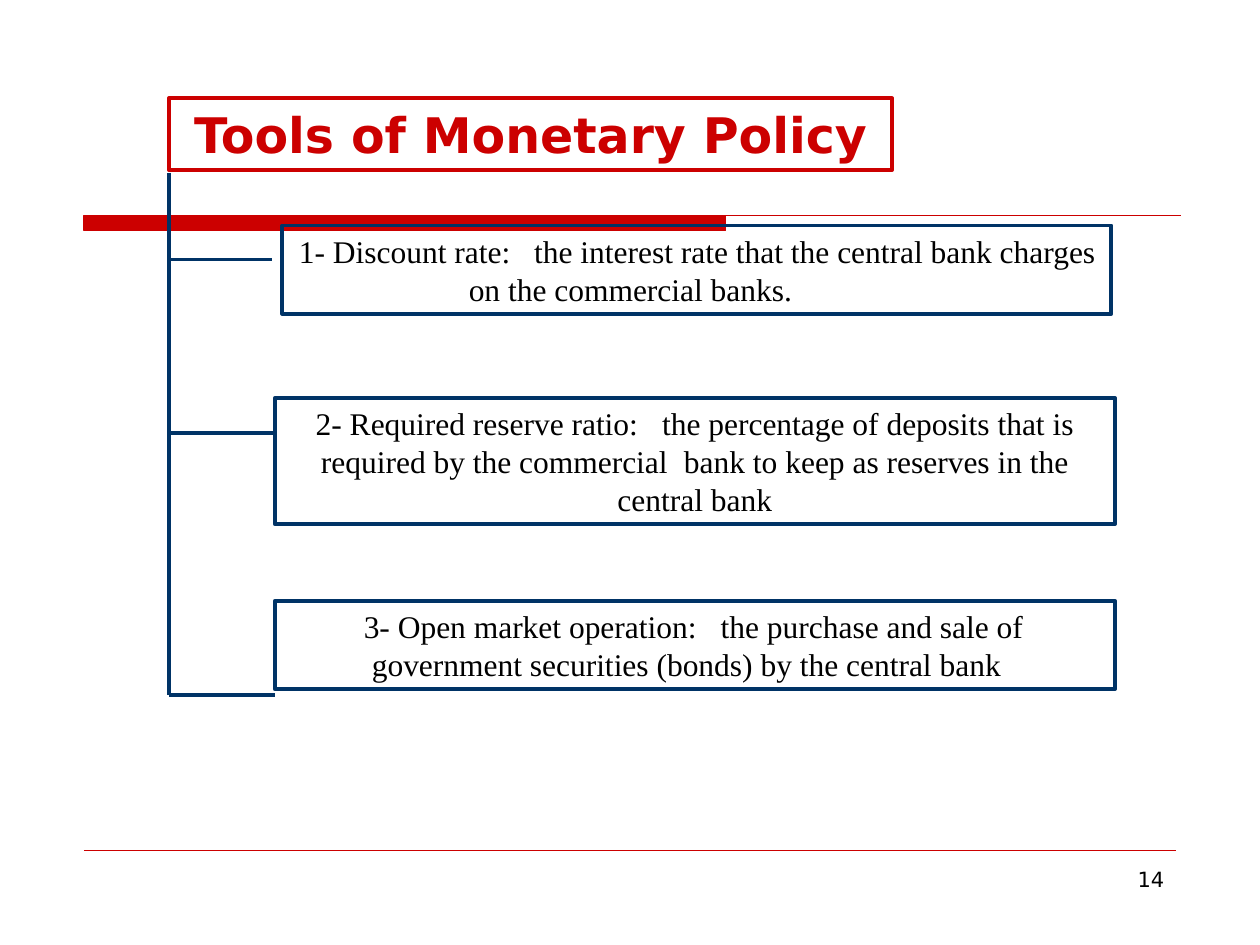
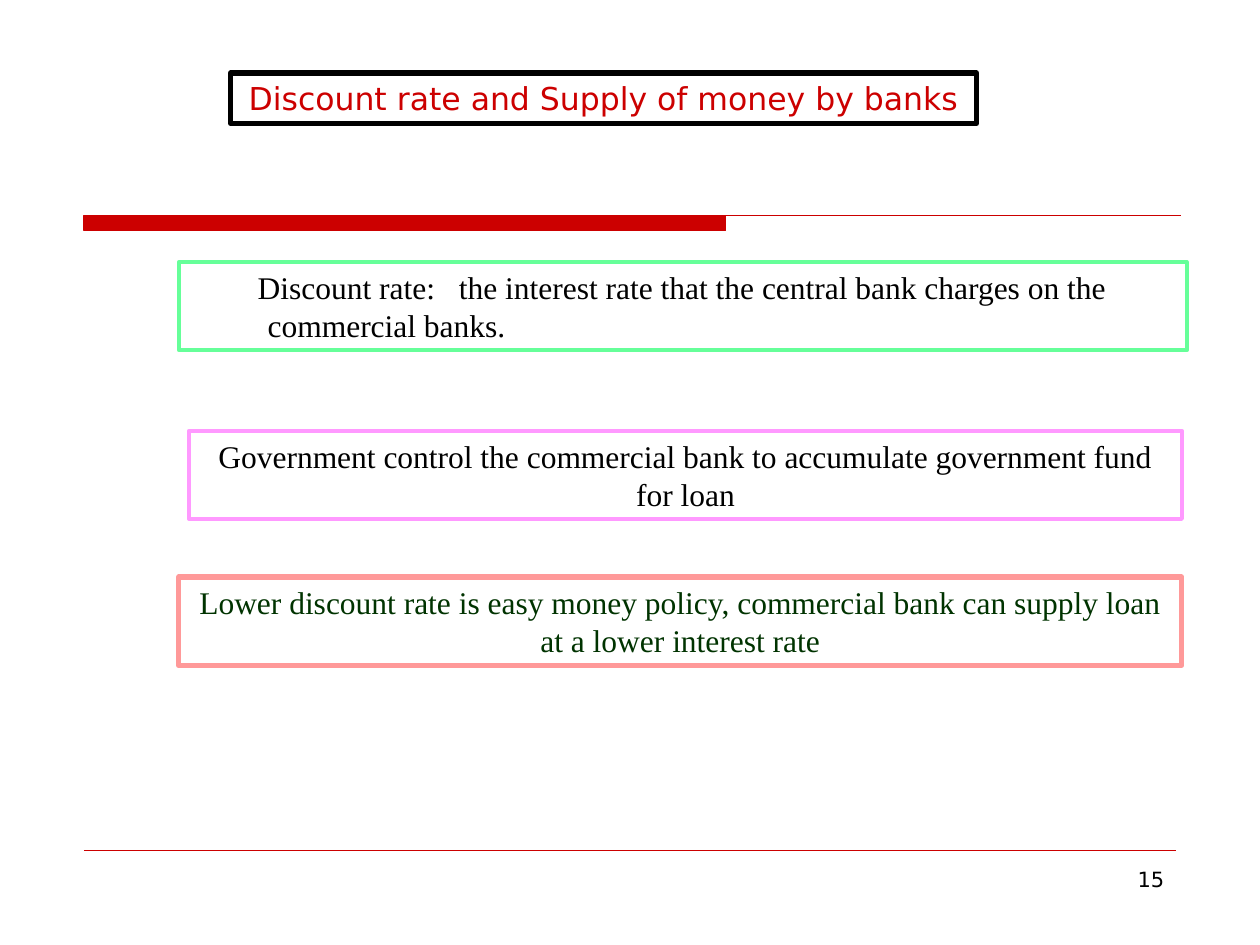
from lxml.etree import SubElement
from pptx import Presentation
from pptx.dml.color import RGBColor
from pptx.enum.shapes import MSO_CONNECTOR, MSO_SHAPE
from pptx.enum.text import MSO_ANCHOR, PP_ALIGN
from pptx.oxml.ns import qn
from pptx.util import Pt

RED = RGBColor(0xCC, 0x00, 0x00)
NAVY = RGBColor(0x00, 0x33, 0x66)
BLACK = RGBColor(0x00, 0x00, 0x00)
MINT = RGBColor(0x66, 0xFF, 0x99)
PINK = RGBColor(0xFF, 0x99, 0xFF)
SALMON = RGBColor(0xFF, 0x99, 0x99)
DARK_GREEN = RGBColor(0x00, 0x33, 0x00)

SANS = "DejaVu Sans"
SERIF = "Times New Roman"
BODY = {"name": SERIF, "size": Pt(18), "bold": False}
TITLE = {"name": SANS, "size": Pt(18), "bold": False}
BIG_TITLE = {"name": SANS, "size": Pt(28), "bold": True}
NUMBER = {"name": SANS, "size": Pt(12), "bold": False}

MARGIN = 48
BAND_TOP = 123.1
TERM_GAP = 9
WORD_GAP = 4.5
TRUNK = 96.5


def add_span(para, text, style, color):
    """Append a formatted run to a paragraph."""
    span = para.add_run()
    span.text = text
    for key, value in style.items():
        setattr(span.font, key, value)
    span.font.color.rgb = color
    return span


def add_phrases(para, phrases, style, color):
    """Write (text, gap) phrases, widening the space after each by its gap."""
    for text, gap in phrases:
        add_span(para, text, style, color)
        if gap:
            space = add_span(para, " ", style, color)
            space.font._element.set("spc", str(round(gap * 100)))


def add_frame(page, place, phrases, line, width=2.25, style=BODY, color=BLACK, starts=None):
    """Add an outlined text box, centred or with given starts of its two lines."""
    box = page.shapes.add_shape(MSO_SHAPE.RECTANGLE, *map(Pt, place))
    box.shadow.inherit = False
    box.fill.background()
    box.line.color.rgb = line
    box.line.width = Pt(width)
    box.text_frame.word_wrap = True
    box.text_frame.vertical_anchor = MSO_ANCHOR.TOP
    para = box.text_frame.paragraphs[0]
    para.alignment = PP_ALIGN.LEFT if starts else PP_ALIGN.CENTER
    if starts:
        first, second = starts
        properties = para._p.get_or_add_pPr()
        properties.set("marL", str(Pt(second)))
        properties.set("indent", str(Pt(first - second)))
    add_phrases(para, phrases, style, color)


def add_line(page, start, end, color=NAVY, width=2.25):
    """Add a straight line without a shadow."""
    line = page.shapes.add_connector(MSO_CONNECTOR.STRAIGHT, *map(Pt, start + end))
    line.line.color.rgb = color
    line.line.width = Pt(width)
    SubElement(line._element.spPr, qn("a:effectLst"))


def add_band(page):
    """Add the red bar whose top edge runs on as a thin line."""
    bar_right, bar_bottom, line_right = 414.7, 131.8, 674.6
    builder = page.shapes.build_freeform(Pt(MARGIN), Pt(BAND_TOP))
    corners = [(bar_right, BAND_TOP), (bar_right, bar_bottom), (MARGIN, bar_bottom)]
    builder.add_line_segments([(Pt(x), Pt(y)) for x, y in corners])
    builder.move_to(Pt(MARGIN), Pt(BAND_TOP))
    builder.add_line_segments([(Pt(line_right), Pt(BAND_TOP))], close=False)
    band = builder.convert_to_shape()
    band.shadow.inherit = False
    band.fill.solid()
    band.fill.fore_color.rgb = RED
    band.line.color.rgb = RED
    band.line.width = Pt(0.75)


def add_page(deck, number):
    """Add a blank page with band, footer line and page number."""
    page = deck.slides.add_slide(deck.slide_layouts[6])
    add_band(page)
    add_line(page, (MARGIN, 486), (672, 486), RED, 0.25)
    box = page.shapes.add_textbox(*map(Pt, (516.2, 491.8, 156.2, 37.4)))
    box.text_frame.word_wrap = True
    para = box.text_frame.paragraphs[0]
    para.alignment = PP_ALIGN.RIGHT
    add_span(para, str(number), NUMBER, BLACK)
    return page


def add_tools_page(deck):
    """Add the tree of monetary policy tools."""
    page = add_page(deck, 14)
    add_frame(page, (96.5, 56.2, 413.3, 41), [("Tools of Monetary Policy", 0)],
              RED, style=BIG_TITLE, color=RED)
    tools = [
        ((161.3, 128.9, 473.8, 50.4), (2.4, 99.5),
         [("1- Discount rate:", TERM_GAP),
          ("the interest rate that the central bank charges on the commercial banks.", 0)]),
        ((157, 227.5, 480.2, 72), None,
         [("2- Required reserve ratio:", TERM_GAP),
          ("the percentage of deposits that is required by the commercial", WORD_GAP),
          ("bank to keep as reserves in the central bank", 0)]),
        ((157, 343.4, 480.2, 50.4), (43.8, 48.4),
         [("3- Open market operation:", TERM_GAP),
          ("the purchase and sale of government securities (bonds) by the central bank", 0)]),
    ]
    for place, starts, phrases in tools:
        add_frame(page, place, phrases, NAVY, starts=starts)
    for top, bottom in [(98.6, 151.2), (121.7, 247.7), (247.7, 397.4)]:
        add_line(page, (TRUNK, top), (TRUNK, bottom))
    for level, right in [(148.3, 155.5), (247.7, 157), (397.4, 157)]:
        add_line(page, (TRUNK, level), (right, level))


def add_discount_page(deck):
    """Add the page on the discount rate and the supply of money."""
    page = add_page(deck, 15)
    add_frame(page, (131.8, 41.8, 426.2, 28.8),
              [("Discount rate and Supply of money by banks", 0)],
              BLACK, 3, TITLE, RED)
    add_frame(page, (102.2, 149.8, 576, 50.4),
              [("Discount rate:", TERM_GAP),
               ("the interest rate that the central bank charges on the commercial banks.", 0)],
              MINT, starts=(38, 43.7))
    add_frame(page, (108, 246.2, 567.4, 50.4),
              [("Government control the commercial bank to accumulate government fund for loan", 0)],
              PINK)
    add_frame(page, (102.2, 329.8, 573.1, 50.4),
              [("Lower discount rate is easy money policy, commercial bank can supply loan "
                "at a lower interest rate", 0)],
              SALMON, 3, color=DARK_GREEN)


def main():
    """Build the deck and save it."""
    deck = Presentation()
    deck.slide_width, deck.slide_height = Pt(720), Pt(540)
    add_tools_page(deck)
    add_discount_page(deck)
    deck.save("out.pptx")


if __name__ == "__main__":
    main()
